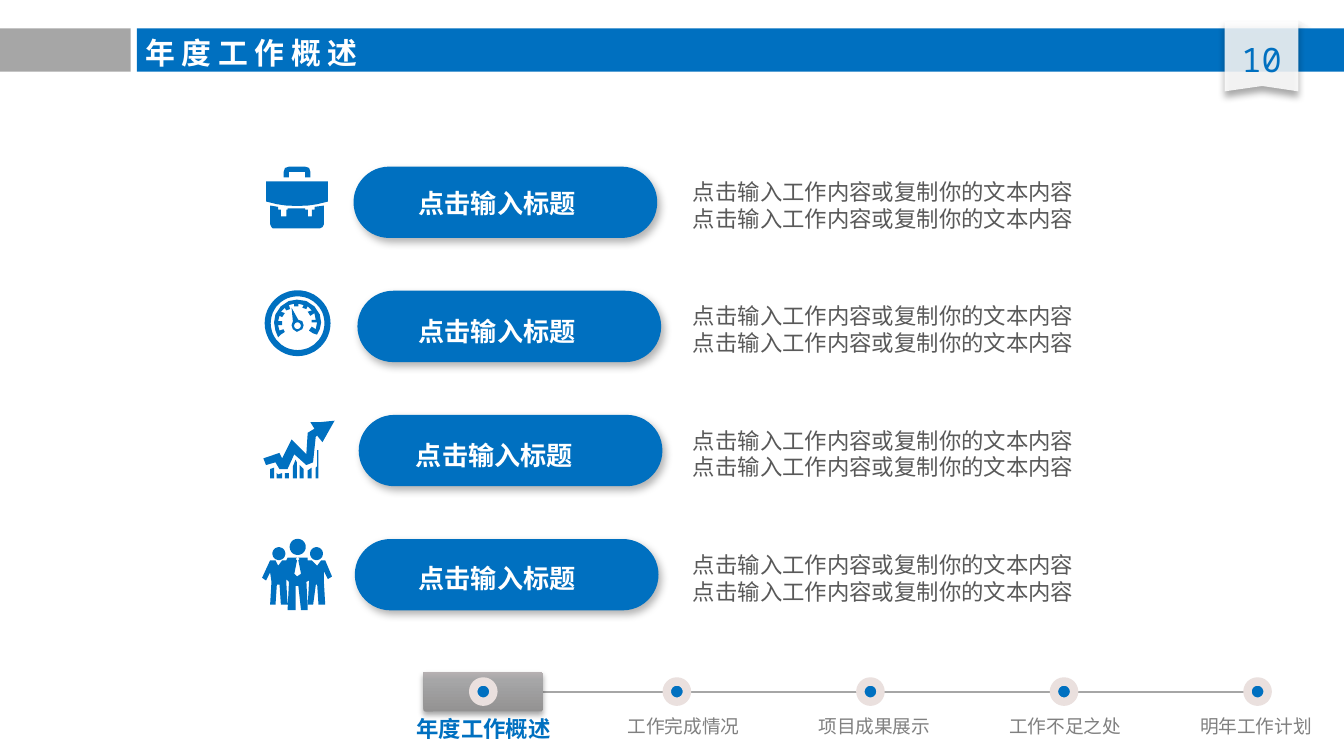
from copy import deepcopy
from math import cos, pi, sin

from lxml.etree import SubElement
from pptx import Presentation
from pptx.dml.color import RGBColor
from pptx.enum.shapes import MSO_CONNECTOR, MSO_SHAPE
from pptx.enum.text import MSO_ANCHOR, MSO_AUTO_SIZE, PP_ALIGN
from pptx.oxml.ns import qn
from pptx.util import Pt

BLUE = RGBColor(0x00, 0x70, 0xC0)
WHITE = RGBColor(0xFF, 0xFF, 0xFF)
PALE = RGBColor(0xF8, 0xF8, 0xF8)
GREY = RGBColor(0xA6, 0xA6, 0xA6)
NAV_GREY = RGBColor(0x80, 0x80, 0x80)
BODY_GREY = RGBColor(0x59, 0x59, 0x59)
DOT_RING = RGBColor(0xEA, 0xE0, 0xDE)
MARKER_STOPS = [(0, RGBColor(0x93, 0x92, 0x92)), (0.8, RGBColor(0xA6, 0xA6, 0xA7)),
                (1, RGBColor(0xB6, 0xB0, 0xB2))]
SANS = "Noto Sans CJK SC"
MONO = "Noto Sans Mono"
RIBBON_SHADOW = (40, 4, 3, 90)
PILL_SHADOW = (30, 4.5, 2.6, 53)
MARKER_SHADOW = (35, 3.1, 1.8, 90)
ICON_UNIT = 0.72


def circle(x, y, radius, steps=48):
    return [(x + radius * cos(2 * pi * i / steps), y + radius * sin(2 * pi * i / steps))
            for i in range(steps)]


BRIEFCASE = [
    [(43, 29), (43, 43), (42, 45), (40, 46), (5, 46), (4, 45), (3, 43), (3, 29), (9, 30),
     (9, 32), (11, 32), (11, 37), (15, 37), (15, 32), (16, 32), (16, 31), (29, 31), (29, 32),
     (31, 32), (31, 37), (34, 37), (34, 32), (36, 32), (36, 30)],
    [(17, 0), (29, 0), (32, 1), (33, 4), (33, 8), (29, 8), (29, 4), (17, 4), (17, 8),
     (13, 8), (13, 4), (14, 1)],
    [(0, 11), (0, 26), (8, 28), (15, 29), (23, 29.3), (31, 29), (38, 28), (46, 26), (46, 11)],
]
GAUGE = [
    circle(24.5, 24.5, 24.5),
    circle(24.5, 24.5, 20),
    [(11, 30), (10, 26), (13, 26), (13, 23), (10, 23), (11, 19), (13, 20), (15, 17), (12, 16),
     (15, 13), (16, 15), (19, 14), (18, 11), (22, 10), (22, 12), (25, 12), (25, 10), (29, 11),
     (28, 13), (31, 14), (32, 12), (35, 15), (32, 16), (34, 19), (37, 17), (38, 22), (35, 22),
     (35, 24), (39, 24), (38, 29), (35, 27), (33, 30), (36, 32), (39, 33), (41, 29), (42, 24),
     (41, 18), (37, 12), (31, 8), (24, 7), (18, 8), (12, 12), (8, 18), (7, 24), (8, 30),
     (10, 35), (12, 33), (15, 31), (14, 29)],
    [(21, 23), (20, 13), (25, 22), (28, 23), (29, 26), (28, 29), (24, 31), (21, 29), (20, 26)],
    circle(24.4, 26.4, 2.5),
]
GROWTH = [
    [(53, 0), (44, 16), (40, 11), (39, 12), (37, 31), (32, 33), (23, 25), (18, 36), (12, 36),
     (9, 31), (2, 33), (0, 28), (12, 24), (14, 28), (21, 14), (32, 25), (33, 9), (38, 6),
     (35, 1), (43, 1)],
    [(5, 43), (8, 43), (8, 35), (5, 36)],
    [(10, 43), (14, 43), (14, 39), (11, 40), (10, 39)],
    [(16, 43), (19, 43), (19, 39), (16, 39)],
    [(22, 43), (25, 43), (25, 31), (24, 29), (22, 34)],
    [(27, 43), (30, 43), (30, 36), (27, 33)],
    [(33, 43), (36, 43), (36, 35), (33, 37)],
    [(39, 43), (41, 43), (41, 22), (40, 22), (40, 34), (39, 35)],
]
TEAM = [
    circle(26.5, 6, 6),
    circle(12.5, 11, 4.8),
    circle(40.5, 11, 4.8),
    [(18, 30), (18, 32), (19, 49), (14, 49), (13, 34), (11, 34), (10, 49), (6, 49), (7, 32),
     (6, 25), (3, 31), (0, 29), (6, 16), (10, 16), (12, 20), (15, 16), (18, 16), (19, 14),
     (26, 14), (25, 15), (26, 16), (24, 26), (26, 28), (29, 26), (27, 16), (28, 15), (27, 14),
     (34, 14), (34, 16), (37, 16), (41, 20), (44, 16), (47, 16), (52, 28), (49, 30), (46, 24),
     (46, 32), (47, 49), (42, 49), (41, 34), (40, 34), (38, 49), (34, 49), (35, 31), (33, 32),
     (34, 53), (29, 53), (27, 35), (25, 35), (25, 53), (19, 53), (20, 32)],
]
RIBBON = [[(0, 52), (0, 0), (55, 0), (55, 52), (28, 48)]]

ROW_STEP = 66.5
ROWS = [
    (BRIEFCASE, 142.6, 89.3, 189.4, 218.9, 97.9),
    (GAUGE, 141.8, 155.5, 191.5, 218.9, 166.3),
    (GROWTH, 141.1, 225.4, 192.2, 217.4, 232.6),
    (TEAM, 140.4, 288.7, 190.1, 218.9, 298.8),
]
CHAPTERS = ["年度工作概述", "工作完成情况", "项目成果展示", "工作不足之处", "明年工作计划"]


class Deck:
    def __init__(self):
        self.presentation = Presentation()
        self.presentation.slide_width = Pt(720)
        self.presentation.slide_height = Pt(405)
        self.slide = self.presentation.slides.add_slide(self.presentation.slide_layouts[5])

    def style(self, shape, fill, alpha=None, shadow=None):
        shape.shadow.inherit = False
        shape.line.fill.background()
        shape.fill.solid()
        shape.fill.fore_color.rgb = fill
        properties = shape.element.spPr
        if alpha:
            color = properties.find(qn("a:solidFill")).find(qn("a:srgbClr"))
            SubElement(color, qn("a:alpha"), val=str(alpha * 1000))
        if shadow:
            opacity, blur, distance, angle = shadow
            outer = SubElement(properties.find(qn("a:effectLst")), qn("a:outerShdw"),
                               blurRad=str(Pt(blur)), dist=str(Pt(distance)),
                               dir=str(angle * 60000), algn="ctr", rotWithShape="0")
            color = SubElement(outer, qn("a:srgbClr"), val="000000")
            SubElement(color, qn("a:alpha"), val=str(opacity * 1000))
        return shape

    def shape(self, kind, left, top, width, height, fill, **effects):
        shape = self.slide.shapes.add_shape(kind, Pt(left), Pt(top), Pt(width), Pt(height))
        return self.style(shape, fill, **effects)

    def outline(self, contours, left, top, fill, **effects):
        scaled = [[(x * 10, y * 10) for x, y in contour] for contour in contours]
        builder = self.slide.shapes.build_freeform(*scaled[0][0], scale=Pt(ICON_UNIT) / 10)
        builder.add_line_segments(scaled[0][1:])
        for contour in scaled[1:]:
            builder.move_to(*contour[0])
            builder.add_line_segments(contour[1:])
        return self.style(builder.convert_to_shape(Pt(left), Pt(top)), fill, **effects)

    def pill(self, left, top):
        pill = self.shape(MSO_SHAPE.ROUNDED_RECTANGLE, left, top, 162.7, 38.2, BLUE,
                          shadow=PILL_SHADOW)
        pill.adjustments[0] = 0.5

    def marker(self, left, top, width, height):
        marker = self.shape(MSO_SHAPE.ROUNDED_RECTANGLE, left, top, width, height, GREY,
                            shadow=MARKER_SHADOW)
        marker.adjustments[0] = 0.05
        marker.fill.gradient()
        marker.fill.gradient_angle = 90
        stop_list = marker.element.spPr.find(qn("a:gradFill")).find(qn("a:gsLst"))
        stop_list.append(deepcopy(stop_list[0]))
        for stop, (position, color) in zip(marker.fill.gradient_stops, MARKER_STOPS):
            stop.position = position
            stop.color.rgb = color

    def dot(self, left, top):
        dot = self.shape(MSO_SHAPE.OVAL, left, top, 10.8, 10.8, BLUE)
        dot.line.color.rgb = DOT_RING
        dot.line.width = Pt(4.5)

    def line(self, left, right, y):
        line = self.slide.shapes.add_connector(MSO_CONNECTOR.STRAIGHT, Pt(left), Pt(y),
                                               Pt(right), Pt(y))
        line.line.color.rgb = GREY
        line.line.width = Pt(1)
        SubElement(line.element.spPr, qn("a:effectLst"))

    def format(self, paragraph, size, color, font=SANS, bold=False, align=PP_ALIGN.LEFT):
        paragraph.alignment = align
        paragraph.font.size = Pt(size)
        paragraph.font.bold = bold
        paragraph.font.color.rgb = color
        paragraph.font.name = font
        SubElement(paragraph.font._element, qn("a:ea"), typeface=SANS)

    def text(self, lines, left, top, width, height, size, color, wrap=False, **look):
        box = self.slide.shapes.add_textbox(Pt(left), Pt(top), Pt(width), Pt(height))
        frame = box.text_frame
        frame.word_wrap = wrap
        frame.auto_size = MSO_AUTO_SIZE.SHAPE_TO_FIT_TEXT
        frame.margin_left = frame.margin_right = Pt(5.4)
        frame.margin_top = frame.margin_bottom = Pt(2.7)
        frame.text = "\n".join(lines)
        for paragraph in frame.paragraphs:
            self.format(paragraph, size, color, **look)

    def title(self, words, left, top, width, height):
        title = self.slide.shapes.title
        title.element.getparent().append(title.element)
        title.left, title.top, title.width, title.height = map(Pt, (left, top, width, height))
        title.text_frame.text = words
        title.text_frame.auto_size = MSO_AUTO_SIZE.NONE
        title.text_frame.vertical_anchor = MSO_ANCHOR.MIDDLE
        self.format(title.text_frame.paragraphs[0], 16, WHITE, font="Calibri", bold=True)


def main():
    deck = Deck()
    deck.shape(MSO_SHAPE.RIGHT_TRIANGLE, 695.5, 10.8, 6.5, 4.3, PALE, alpha=85,
               shadow=RIBBON_SHADOW)
    deck.shape(MSO_SHAPE.RECTANGLE, 0, 15.2, 70, 23.3, GREY)
    deck.shape(MSO_SHAPE.RECTANGLE, 73.4, 15.2, 646.6, 23.3, BLUE)
    deck.outline(RIBBON, 656, 11.5, WHITE, alpha=85, shadow=RIBBON_SHADOW)
    deck.text(["10"], 656, 18, 39.6, 27.4, 18, BLUE, wrap=True, font=MONO,
              align=PP_ALIGN.CENTER)
    deck.title("年 度 工 作 概 述", 70.6, 15.1, 164.2, 26.6)

    for row, (icon, icon_left, icon_top, pill_left, label_left, label_top) in enumerate(ROWS):
        deck.outline(icon, icon_left, icon_top, BLUE)
        deck.pill(pill_left, 89.3 + row * ROW_STEP)
        deck.text(["点击输入标题"], label_left, label_top, 95.8, 22.3, 14, WHITE, bold=True)
        deck.text(["点击输入工作内容或复制你的文本内容"] * 2, 365.8, 92.9 + row * ROW_STEP,
                  266.4, 34.6, 12, BODY_GREY, wrap=True)

    deck.line(259.9, 672.5, 370.6)
    deck.marker(226.8, 360, 64.1, 21.2)
    for index, chapter in enumerate(CHAPTERS):
        deck.dot(253.5 + index * 103.7, 365.1)
        if index == 0:
            deck.text([chapter], 217.4, 380.2, 83.5, 20.2, 12, BLUE, bold=True,
                      align=PP_ALIGN.CENTER)
        else:
            deck.text([chapter], 228.3 + index * 102.2, 380.2, 71.3, 17.3, 10, NAV_GREY,
                      align=PP_ALIGN.CENTER)
    deck.presentation.save("out.pptx")


if __name__ == "__main__":
    main()
